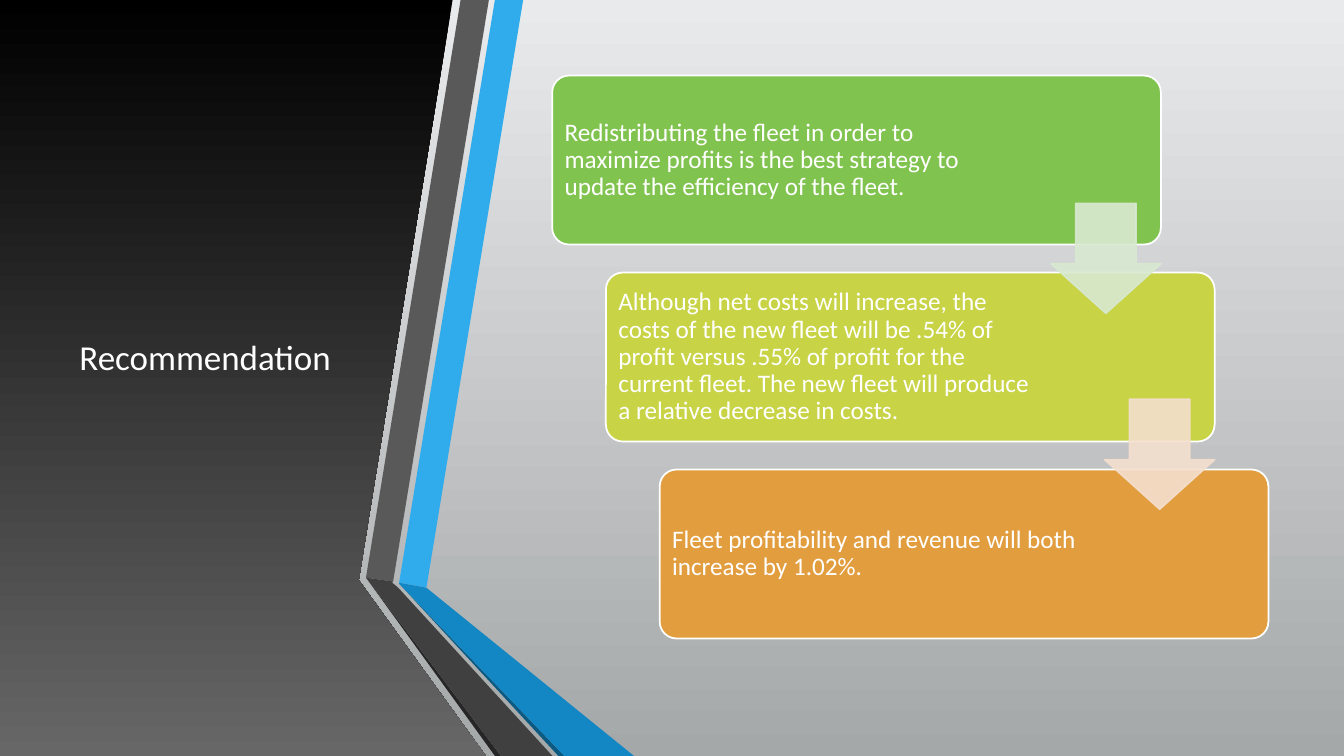
"""Build the Recommendation slide: a folded dark panel beside three cascading cards."""
from dataclasses import dataclass

from lxml.etree import SubElement
from pptx import Presentation
from pptx.dml.color import RGBColor
from pptx.enum.shapes import MSO_SHAPE
from pptx.enum.text import MSO_ANCHOR, MSO_AUTO_SIZE, PP_ALIGN
from pptx.oxml.ns import qn
from pptx.util import Pt


@dataclass(frozen=True)
class Theme:
    font: str = "Calibri"
    title_size: float = 25
    body_size: float = 18
    white: str = "FFFFFF"
    backdrop: tuple = ("E9EAEB", "A5A8A9")
    panel: tuple = ("000000", "676767")
    bright_blue: str = "30ACEC"
    blue: str = "1287C3"
    deep_blue: str = "0C5A82"
    grey: str = "595959"
    dark_grey: str = "404040"
    shadow_grey: str = "262626"
    cards: tuple = ("80C34F", "C8D346", "E29D3E")
    arrows: tuple = ("D8E9D0", "F4DFCE")


def fill_vertical(fill, colours):
    """Fill with a gradient that runs from the top colour to the bottom one."""
    fill.gradient()
    fill.gradient_angle = 270
    for stop, colour in zip(fill.gradient_stops, colours):
        stop.color.rgb = RGBColor.from_string(colour)


def write_text(frame, text, size):
    """Put one white run in a vertically centred text frame."""
    frame.word_wrap = True
    frame.auto_size = MSO_AUTO_SIZE.NONE
    frame.vertical_anchor = MSO_ANCHOR.MIDDLE
    run = frame.paragraphs[0].add_run()
    run.text = text
    run.font.name = theme.font
    run.font.size = Pt(size)
    run.font.color.rgb = RGBColor.from_string(theme.white)
    return frame.paragraphs[0]


theme = Theme()
presentation = Presentation()
presentation.slide_width, presentation.slide_height = Pt(960), Pt(540)
slide = presentation.slides.add_slide(presentation.slide_layouts[5])
shapes = slide.shapes
title = shapes.title
fill_vertical(slide.background.fill, theme.backdrop)

backdrop = shapes.add_shape(MSO_SHAPE.RECTANGLE, 0, 0, Pt(960), Pt(540))
fill_vertical(backdrop.fill, theme.backdrop)
backdrop.line.fill.background()
backdrop.shadow.inherit = False

outlines = [
    (theme.panel, [(254.2, 0), (323.3, 0), (256.3, 414.4), (347, 540), (0, 540), (0, 0)]),
    (theme.bright_blue, [(285.1, 416.2), (304.6, 419.8), (373.7, 0), (353.5, 0)]),
    (theme.grey, [(349.2, 0), (329, 0), (261.4, 412.6), (280.8, 415.4)]),
    (theme.shadow_grey, [(261.4, 412.6), (353.5, 540), (357.8, 540)]),
    (theme.deep_blue, [(285.1, 416.9), (398.9, 540), (403.2, 540)]),
    (theme.blue, [(285.1, 416.9), (403.2, 540), (452.9, 540), (304.6, 419.8), (285.1, 416.2)]),
    (theme.dark_grey, [(394.6, 540), (284.4, 419.8), (280.1, 416.2), (280.8, 415.4),
                       (261.4, 412.6), (357.8, 540)]),
]
for colour, corners in outlines:
    points = [(Pt(x), Pt(y)) for x, y in corners]
    builder = shapes.build_freeform(*points[0])
    builder.add_line_segments(points[1:], close=True)
    facet = builder.convert_to_shape()
    facet.line.fill.background()
    facet.shadow.inherit = False
    if colour == theme.panel:
        fill_vertical(facet.fill, colour)
        facet.element.addnext(title.element)
    else:
        facet.fill.solid()
        facet.fill.fore_color.rgb = RGBColor.from_string(colour)

title.left, title.top, title.width, title.height = Pt(42.5), Pt(54), Pt(208), Pt(401.8)
write_text(title.text_frame, "Recommendation", theme.title_size).alignment = PP_ALIGN.CENTER

step_x, step_y = 38.4, 140.7
cards = [
    ("Redistributing the fleet in order to maximize profits is the best strategy "
     "to update the efficiency of the fleet.", 304.6),
    ("Although net costs will increase, the costs of the new fleet will be .54% of profit "
     "versus .55% of profit for the current fleet. The new fleet will produce a relative "
     "decrease in costs.", 311),
    ("Fleet profitability and revenue will both increase by 1.02%.", 311),
]
for index, (text, text_width) in enumerate(cards):
    left, top = 394.4 + index * step_x, 54 + index * step_y
    card = shapes.add_shape(MSO_SHAPE.ROUNDED_RECTANGLE, Pt(left), Pt(top), Pt(434.8), Pt(120.7))
    card.adjustments[0] = 0.1
    card.fill.solid()
    card.fill.fore_color.rgb = RGBColor.from_string(theme.cards[index])
    card.line.color.rgb = RGBColor.from_string(theme.white)
    card.line.width = Pt(1.25)
    card.shadow.inherit = False

    label = shapes.add_textbox(Pt(left + 3.5), Pt(top + 3.5), Pt(text_width), Pt(113.7))
    frame = label.text_frame
    frame.margin_left = frame.margin_right = frame.margin_top = frame.margin_bottom = Pt(5.4)
    write_text(frame, text, theme.body_size).line_spacing = 0.9

for index, colour in enumerate(theme.arrows):
    arrow = shapes.add_shape(MSO_SHAPE.DOWN_ARROW, Pt(750.7 + index * step_x),
                             Pt(145.3 + index * (step_y - 0.8)), Pt(78.5), Pt(78.5))
    arrow.adjustments[0], arrow.adjustments[1] = 0.55, 0.45
    arrow.fill.solid()
    arrow.fill.fore_color.rgb = RGBColor.from_string(colour)
    arrow.line.color.rgb = RGBColor.from_string(colour)
    arrow.line.width = Pt(1.25)
    arrow.shadow.inherit = False
    for paint in arrow.element.spPr.iter(qn("a:srgbClr")):
        SubElement(paint, qn("a:alpha"), val="90000")

presentation.save("out.pptx")
